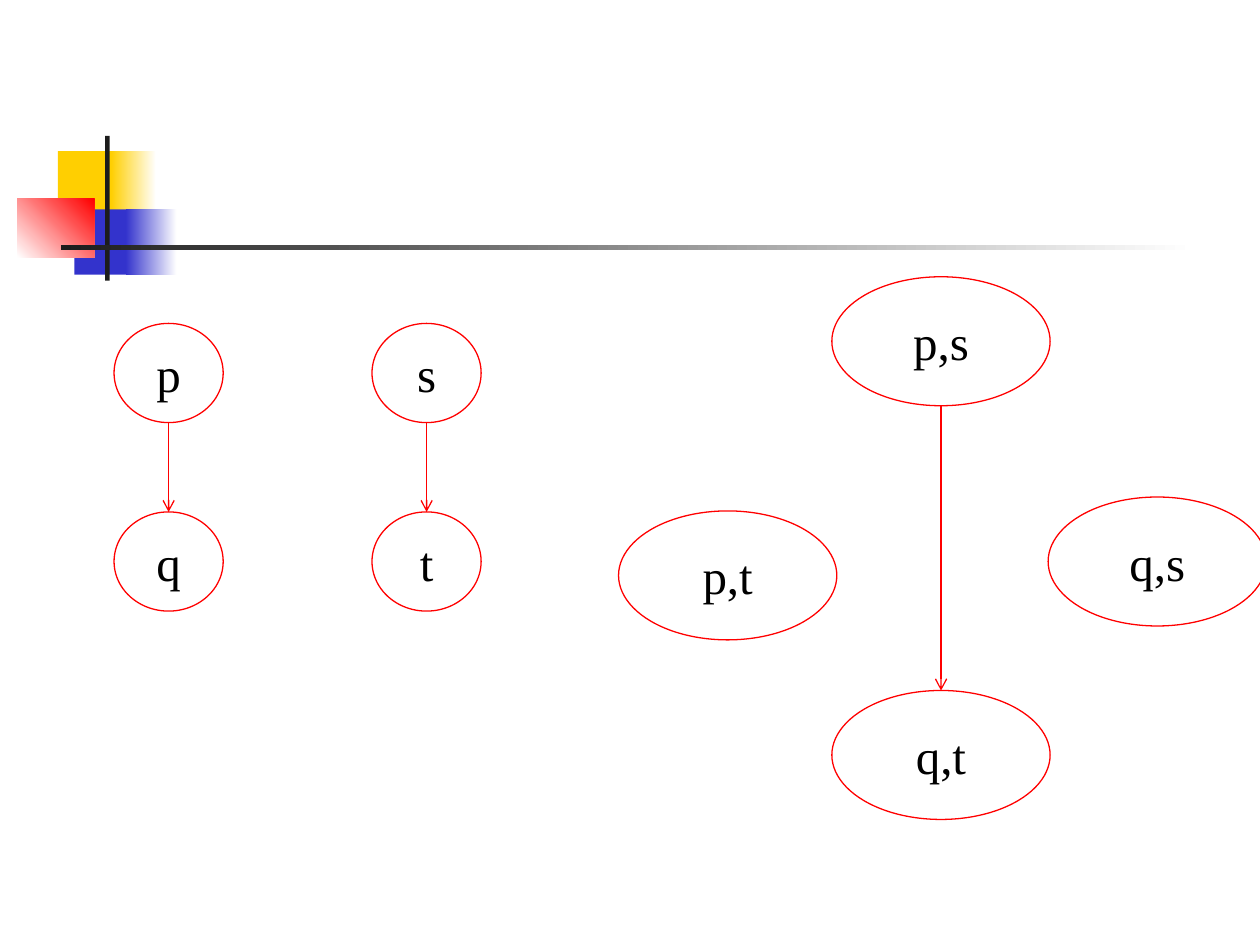
from lxml import etree
from pptx import Presentation
from pptx.dml.color import RGBColor
from pptx.enum.shapes import MSO_CONNECTOR, MSO_SHAPE
from pptx.enum.text import MSO_ANCHOR, PP_ALIGN
from pptx.oxml.ns import qn
from pptx.util import Cm, Pt

RECT, OVAL = MSO_SHAPE.RECTANGLE, MSO_SHAPE.OVAL
STRAIGHT = MSO_CONNECTOR.STRAIGHT
MIDDLE, CENTER = MSO_ANCHOR.MIDDLE, PP_ALIGN.CENTER

THEME = {
    "white": "FFFFFF", "yellow": "FFCF01", "blue": "3333CC",
    "red": "FF0000", "dark": "1C1C1C", "text": "000000",
    "font": "Times New Roman", "size": 28, "line": 0.75,
}

# Decoration: left, top, width, height in cm, colours, gradient angle
DECORATION = [
    (1.17, 3.05, 1.22, 1.32, ["yellow"], 0),
    (2.24, 3.05, 0.91, 1.32, ["yellow", "white"], 0),
    (1.5, 4.22, 1.17, 1.32, ["blue"], 0),
    (2.54, 4.22, 1.02, 1.32, ["blue", "white"], 0),
    (0.35, 4.01, 1.55, 1.18, ["white", "red"], 45),
    (2.12, 2.74, 0.09, 2.92, ["dark"], 0),
    (1.23, 4.94, 22.86, 0.1, ["dark", "white"], 0),
]

# States: label, left, top in cm
SMALL, LARGE = (2.2, 2.0), (4.4, 2.6)
ROWS, COLUMNS = (6.52, 10.32), (2.3, 7.5)
SINGLES = [("p", "q"), ("s", "t")]
PAIRS = [("p,s", 16.77, 5.58), ("p,t", 12.47, 10.3),
         ("q,s", 21.13, 10.02), ("q,t", 16.77, 13.92)]
TRANSITIONS = [*SINGLES, ("p,s", "q,t")]


def color(name):
    return RGBColor.from_string(THEME[name])


def add_block(s, left, top, width, height, colors, angle):
    sp = s.shapes.add_shape(RECT, Cm(left), Cm(top), Cm(width), Cm(height))
    sp.shadow.inherit = False
    sp.line.fill.background()
    if len(colors) == 1:
        sp.fill.solid()
        sp.fill.fore_color.rgb = color(colors[0])
    else:
        sp.fill.gradient()
        sp.fill.gradient_angle = angle
        for stop, name in zip(sp.fill.gradient_stops, colors):
            stop.color.rgb = color(name)


def style_line(line):
    line.color.rgb = color("red")
    line.width = Pt(THEME["line"])


def add_state(s, label, left, top, size):
    sp = s.shapes.add_shape(OVAL, Cm(left), Cm(top), *map(Cm, size))
    sp.shadow.inherit = False
    sp.fill.solid()
    sp.fill.fore_color.rgb = color("white")
    style_line(sp.line)
    tf = sp.text_frame
    tf.word_wrap = False
    tf.vertical_anchor = MIDDLE
    tf.text = label
    p = tf.paragraphs[0]
    p.alignment = CENTER
    font = p.runs[0].font
    font.name, font.size = THEME["font"], Pt(THEME["size"])
    font.color.rgb = color("text")
    return sp


def add_transition(s, start, end):
    x = start.left + start.width // 2
    cx = s.shapes.add_connector(STRAIGHT, x, start.top + start.height, x, end.top)
    style_line(cx.line)
    etree.SubElement(cx.line._get_or_add_ln(), qn("a:tailEnd"), type="arrow")
    etree.SubElement(cx._element.spPr, qn("a:effectLst"))


def main():
    prs = Presentation()
    prs.slide_width, prs.slide_height = Cm(25.4), Cm(19.05)
    s = prs.slides.add_slide(prs.slide_layouts[6])

    # Corner decoration and rule
    for block in DECORATION:
        add_block(s, *block)

    # Single states in two columns, then the combined states
    states = {}
    for left, labels in zip(COLUMNS, SINGLES):
        for top, label in zip(ROWS, labels):
            states[label] = add_state(s, label, left, top, SMALL)
    for label, left, top in PAIRS:
        states[label] = add_state(s, label, left, top, LARGE)

    # Arrows from state to state
    for start, end in TRANSITIONS:
        add_transition(s, states[start], states[end])

    prs.save("out.pptx")


if __name__ == "__main__":
    main()
